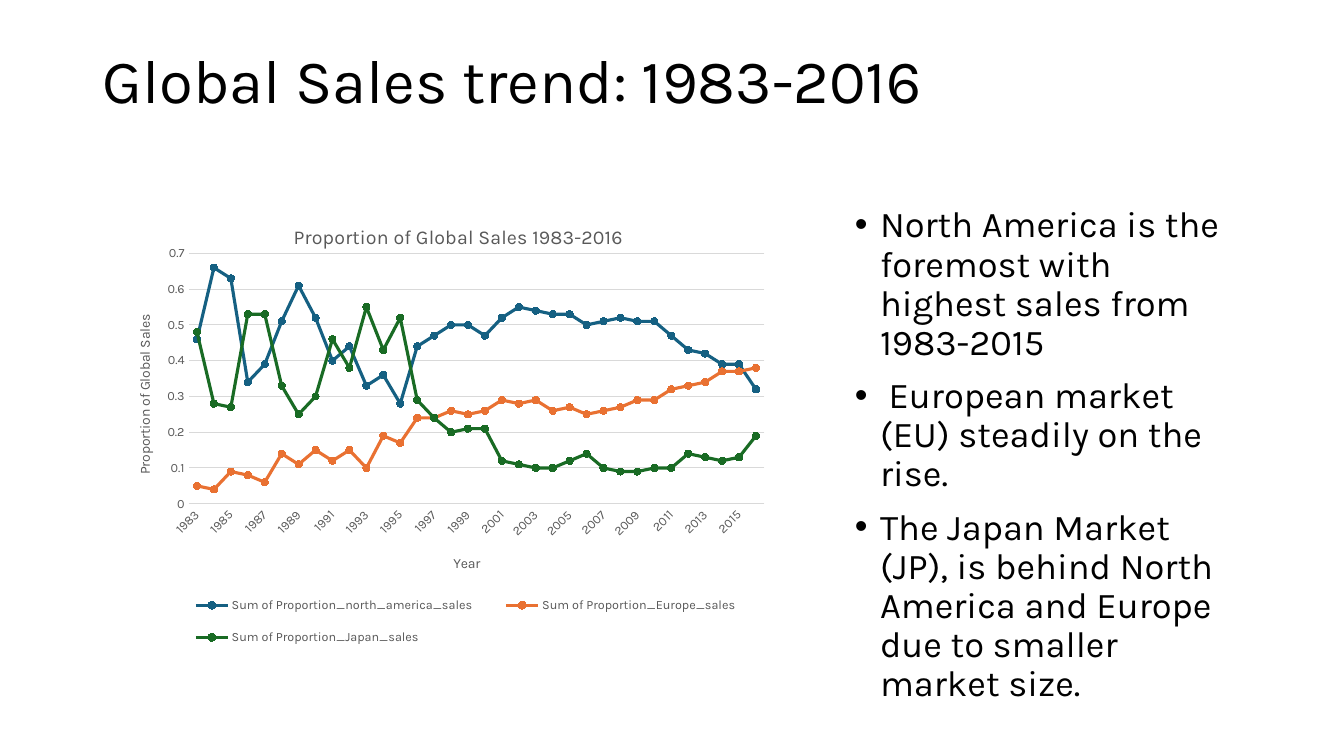
from lxml import etree
from pptx import Presentation
from pptx import util as u
from pptx.chart.data import CategoryChartData
from pptx.dml.color import RGBColor
from pptx.enum import chart as ch, text as tx
from pptx.oxml.ns import qn

FONT, BLACK, GREY, RULE = "Karla", "000000", "595959", "D9D9D9"
WIDTH, HEIGHT = 13.33, 7.5
MARGIN, BODY_TOP, BODY_HEIGHT = 0.92, 2, 4.76
CHART_WIDTH, POINTS_WIDTH = 7.25, 4.03

HEADING = "Global Sales trend: 1983-2016"
POINTS = [
    "North America is the foremost with highest sales from 1983-2015",
    " European market (EU) steadily on the rise.",
    "The Japan Market (JP), is behind North America and Europe due to smaller market size.",
]
CHART_HEADING = "Proportion of Global Sales 1983-2016"
YEAR_HEADING, SHARE_HEADING = "Year", "Proportion of Global Sales"
YEARS = [str(year) for year in range(1983, 2017)]
REGIONS = [
    ("Sum of Proportion_north_america_sales", "156082",
     [0.46, 0.66, 0.63, 0.34, 0.39, 0.51, 0.61, 0.52, 0.4, 0.44, 0.33, 0.36,
      0.28, 0.44, 0.47, 0.5, 0.5, 0.47, 0.52, 0.55, 0.54, 0.53, 0.53, 0.5,
      0.51, 0.52, 0.51, 0.51, 0.47, 0.43, 0.42, 0.39, 0.39, 0.32]),
    ("Sum of Proportion_Europe_sales", "E97132",
     [0.05, 0.04, 0.09, 0.08, 0.06, 0.14, 0.11, 0.15, 0.12, 0.15, 0.1, 0.19,
      0.17, 0.24, 0.24, 0.26, 0.25, 0.26, 0.29, 0.28, 0.29, 0.26, 0.27, 0.25,
      0.26, 0.27, 0.29, 0.29, 0.32, 0.33, 0.34, 0.37, 0.37, 0.38]),
    ("Sum of Proportion_Japan_sales", "196B24",
     [0.48, 0.28, 0.27, 0.53, 0.53, 0.33, 0.25, 0.3, 0.46, 0.38, 0.55, 0.43,
      0.52, 0.29, 0.24, 0.2, 0.21, 0.21, 0.12, 0.11, 0.1, 0.1, 0.12, 0.14,
      0.1, 0.09, 0.09, 0.1, 0.1, 0.14, 0.13, 0.12, 0.13, 0.19]),
]


def rgb(code):
    return RGBColor.from_string(code)


def style(font, size, color):
    font.name, font.size, font.bold = FONT, u.Pt(size), False
    font.color.rgb = rgb(color)


def write(frame, lines, size, color=BLACK, spacing=None, before=None, bullet=None):
    """Fill a text frame with one paragraph per line."""
    for number, line in enumerate(lines):
        paragraph = frame.paragraphs[0] if number == 0 else frame.add_paragraph()
        run = paragraph.add_run()
        run.text = line
        style(run.font, size, color)
        if spacing:
            paragraph.line_spacing = spacing
        if before:
            paragraph.space_before = u.Pt(before)
        if bullet:
            indent = u.Inches(0.25)
            props = paragraph._p.get_or_add_pPr()
            props.set("marL", str(indent))
            props.set("indent", str(-indent))
            etree.SubElement(props, qn("a:buFont")).set("typeface", "Arial")
            etree.SubElement(props, qn("a:buChar")).set("char", bullet)


def place(part, index, **shares):
    """Give a chart part a manual layout, in shares of the chart's size."""
    for old in part.findall(qn("c:layout")):
        part.remove(old)
    layout = etree.Element(qn("c:layout"))
    manual = etree.SubElement(layout, qn("c:manualLayout"))
    if part.tag == qn("c:plotArea"):
        etree.SubElement(manual, qn("c:layoutTarget")).set("val", "inner")
    for mode in ("xMode", "yMode"):
        etree.SubElement(manual, qn("c:" + mode)).set("val", "edge")
    for side, share in shares.items():
        etree.SubElement(manual, qn("c:" + side)).set("val", str(share))
    part.insert(index, layout)


def format_axis(axis, heading, x, y):
    axis.major_tick_mark = axis.minor_tick_mark = ch.XL_TICK_MARK.NONE
    style(axis.tick_labels.font, 9, GREY)
    write(axis.axis_title.text_frame, [heading], 10, GREY)
    place(axis.axis_title._element, 1, x=x, y=y)


def add_sales_chart(slide):
    data = CategoryChartData()
    data.categories = YEARS
    for name, _, shares in REGIONS:
        data.add_series(name, shares)
    chart = slide.shapes.add_chart(
        ch.XL_CHART_TYPE.LINE_MARKERS, u.Inches(MARGIN), u.Inches(BODY_TOP),
        u.Inches(CHART_WIDTH), u.Inches(BODY_HEIGHT), data).chart
    style(chart.font, 10, BLACK)

    write(chart.chart_title.text_frame, [CHART_HEADING], 14, GREY)
    chart.chart_title.include_in_layout = False
    place(chart.chart_title._element, 1, x=0.27, y=0.04)
    place(chart._chartSpace.chart.plotArea, 0, x=0.131, y=0.108, w=0.788, h=0.522)

    chart.has_legend = True
    chart.legend.position = ch.XL_LEGEND_POSITION.RIGHT
    chart.legend.include_in_layout = False
    style(chart.legend.font, 9, GREY)
    place(chart.legend._element, 1, x=0.1, y=0.79, w=0.82, h=0.17)

    years, values = chart.category_axis, chart.value_axis
    format_axis(years, YEAR_HEADING, 0.49, 0.73)
    years.format.line.color.rgb = rgb(RULE)
    years.format.line.width = u.Pt(0.75)
    years._element.find(qn("c:txPr")).find(qn("a:bodyPr")).set("rot", "-2700000")
    skip = etree.Element(qn("c:tickLblSkip"))
    skip.set("val", "2")
    years._element.find(qn("c:noMultiLvlLbl")).addprevious(skip)

    format_axis(values, SHARE_HEADING, 0.055, 0.23)
    values.axis_title.text_frame._txBody.bodyPr.set("rot", "-5400000")
    values.minimum_scale, values.maximum_scale, values.major_unit = 0, 0.7, 0.1
    values.format.line.fill.background()
    values.major_gridlines.format.line.color.rgb = rgb(RULE)
    values.major_gridlines.format.line.width = u.Pt(0.75)

    plot = chart.plots[0]
    plot.vary_by_categories = False
    for series, (_, color, _) in zip(plot.series, REGIONS):
        series.smooth = False
        series.format.line.color.rgb = rgb(color)
        series.format.line.width = u.Pt(2.25)
        marker = series.marker
        marker.style, marker.size = ch.XL_MARKER_STYLE.CIRCLE, 5
        marker.format.fill.solid()
        marker.format.fill.fore_color.rgb = rgb(color)
        marker.format.line.color.rgb = rgb(color)


def main():
    deck = Presentation()
    deck.slide_width, deck.slide_height = u.Inches(WIDTH), u.Inches(HEIGHT)
    slide = deck.slides.add_slide(deck.slide_layouts[5])

    title = slide.shapes.title
    title.left, title.top = u.Inches(MARGIN), u.Inches(0.4)
    title.width, title.height = u.Inches(11.5), u.Inches(0.85)
    title.text_frame.vertical_anchor = tx.MSO_ANCHOR.MIDDLE
    write(title.text_frame, [HEADING], 44, spacing=0.9)
    title.text_frame.paragraphs[0].alignment = tx.PP_ALIGN.LEFT

    add_sales_chart(slide)

    points = slide.shapes.add_textbox(
        u.Inches(WIDTH - MARGIN - POINTS_WIDTH), u.Inches(BODY_TOP),
        u.Inches(POINTS_WIDTH), u.Inches(BODY_HEIGHT)).text_frame
    points.word_wrap = True
    write(points, POINTS, 25.9, spacing=0.9, before=10, bullet="•")

    deck.save("out.pptx")


if __name__ == "__main__":
    main()
